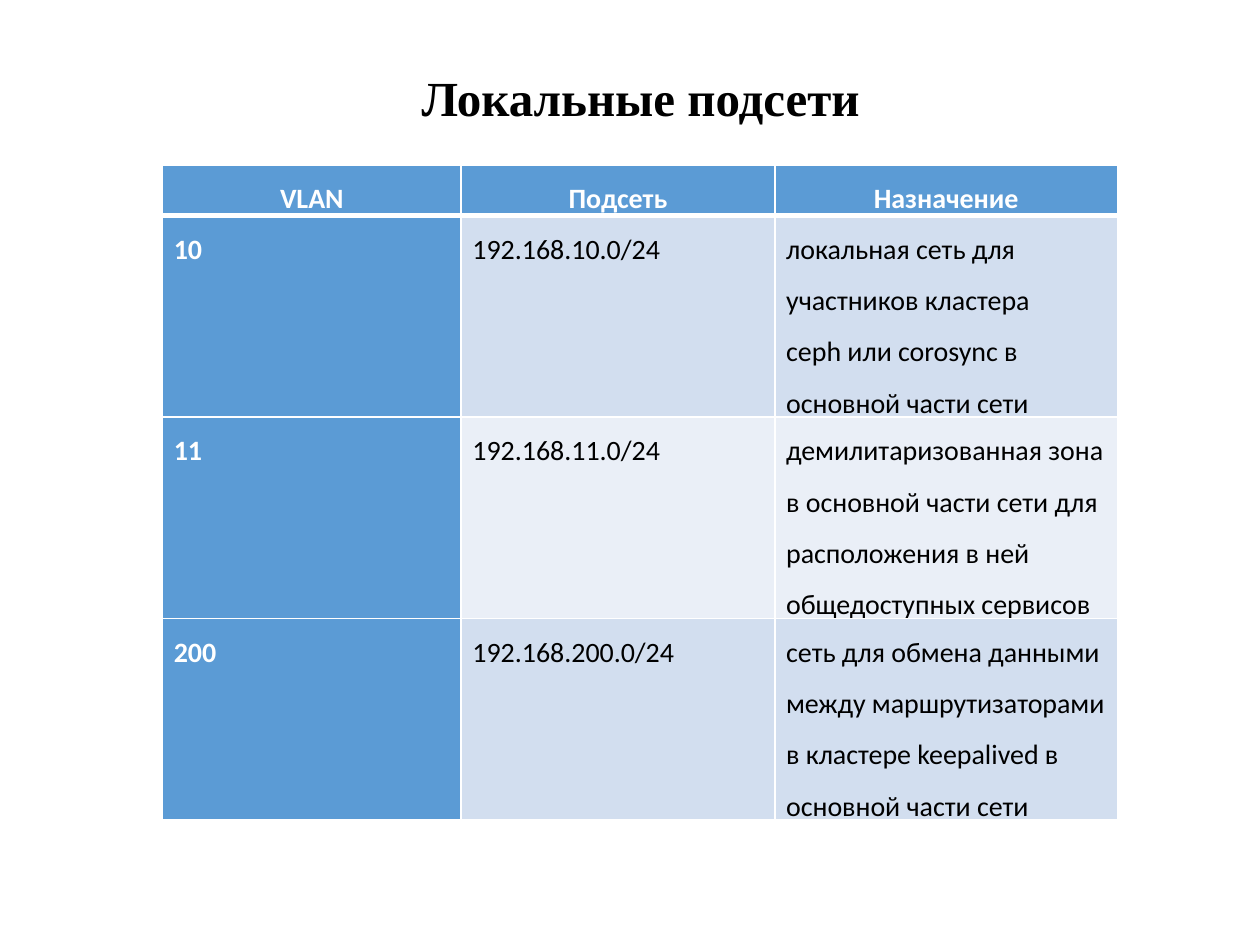
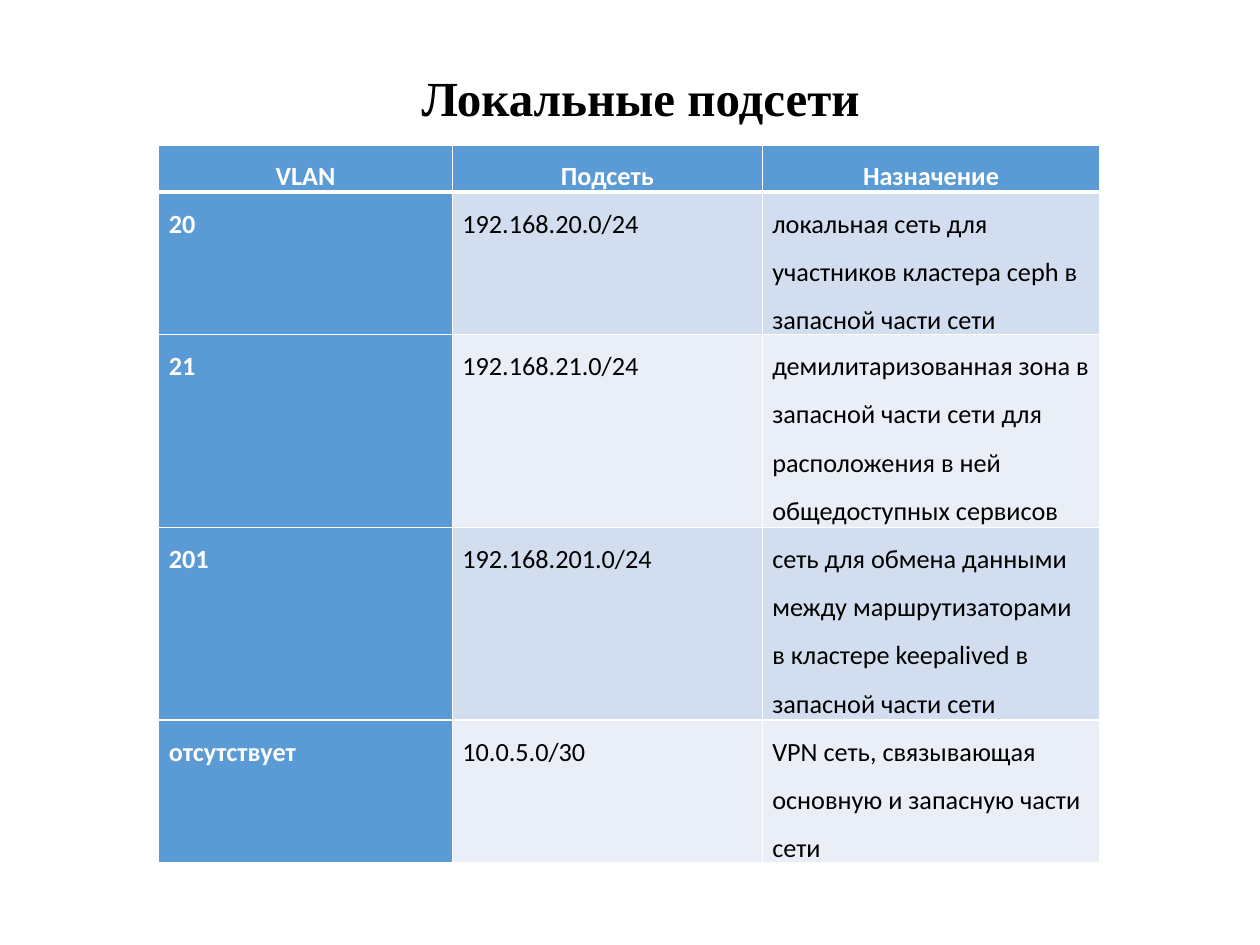
from pptx import Presentation
from pptx.dml.color import RGBColor
from pptx.enum.text import MSO_ANCHOR as Anchor, PP_ALIGN as Align
from pptx.oxml.ns import qn
from pptx.util import Inches, Pt
from lxml.etree import SubElement as Sub

BLUE, PALE, LIGHT = "5B9BD5", "D2DEEF", "EAEFF7"
WHITE, BLACK = "FFFFFF", "000000"
TITLE = "Локальные подсети"
HEADS = ("VLAN", "Подсеть", "Назначение")

MAIN = [
    ("10", "192.168.10.0/24",
     "локальная сеть для\nучастников кластера\nceph или corosync в основной части сети"),
    ("11", "192.168.11.0/24",
     "демилитаризованная зона в основной части сети для расположения в ней общедоступных сервисов"),
    ("200", "192.168.200.0/24",
     "сеть для обмена данными между маршрутизаторами в кластере keepalived в основной части сети"),
]
SPARE = [
    ("20", "192.168.20.0/24",
     "локальная сеть для участников кластера ceph в запасной части сети"),
    ("21", "192.168.21.0/24",
     "демилитаризованная зона в запасной части сети для расположения в ней общедоступных сервисов"),
    ("201", "192.168.201.0/24",
     "сеть для обмена данными между маршрутизаторами в кластере keepalived в запасной части сети"),
    ("отсутствует", "10.0.5.0/30",
     "VPN сеть, связывающая основную и запасную части сети"),
]


def color(code):
    return RGBColor.from_string(code)


class Deck:
    def __init__(self):
        self.prs = Presentation()
        self.prs.slide_width, self.prs.slide_height = Inches(10), Inches(7.5)
        self.slide = None

    def page(self):
        self.slide = self.prs.slides.add_slide(self.prs.slide_layouts[6])

    def text(self, frame, words, size, font, ink, bold, align, space):
        """Fill a text frame, one paragraph for each line."""
        frame.word_wrap = True
        for i, line in enumerate(words.split("\n")):
            para = frame.add_paragraph() if i else frame.paragraphs[0]
            para.alignment, para.line_spacing = align, space
            run = para.add_run()
            run.text = line
            run.font.size, run.font.name = Pt(size), font
            run.font.bold, run.font.color.rgb = bold, color(ink)

    def title(self, words):
        box = self.slide.shapes.add_textbox(
            Inches(0.91), Inches(0.29), Inches(8.35), Inches(1.02))
        box.text_frame.vertical_anchor = Anchor.MIDDLE
        self.text(box.text_frame, words, 28, "Times New Roman", BLACK,
                  True, Align.CENTER, 0.9)

    def edge(self, cell, side, width):
        line = Sub(cell._tc.get_or_add_tcPr(), qn(f"a:ln{side}"), w=str(Pt(width)))
        Sub(Sub(line, qn("a:solidFill")), qn("a:srgbClr"), val=WHITE)

    def cell(self, cell, words, row, col, size, pad):
        head = row == 0
        strong = head or col == 0
        cell.margin_left = cell.margin_right = Inches(pad)
        cell.margin_top = cell.margin_bottom = 0
        # A thick rule parts the header from the body
        for side in "LRTB":
            thick = (row, side) in ((0, "B"), (1, "T"))
            self.edge(cell, side, 3 if thick else 1)
        cell.fill.solid()
        band = PALE if row % 2 else LIGHT
        cell.fill.fore_color.rgb = color(BLUE if strong else band)
        align = Align.CENTER if head else Align.LEFT if col == 2 else Align.JUSTIFY
        self.text(cell.text_frame, words, size, "Calibri",
                  WHITE if strong else BLACK, strong, align, 1.5)

    def table(self, left, top, cols, highs, rows, size, pad):
        rows = [HEADS, *rows]
        grid = self.slide.shapes.add_table(
            len(rows), len(cols), Inches(left), Inches(top),
            Inches(sum(cols)), Inches(sum(highs))).table
        for col, wide in zip(grid.columns, cols):
            col.width = Inches(wide)
        for r, (high, texts) in enumerate(zip(highs, rows)):
            grid.rows[r].height = Inches(high)
            for c, words in enumerate(texts):
                self.cell(grid.cell(r, c), words, r, c, size, pad)


def main():
    deck = Deck()

    # Main part of the network
    deck.page()
    deck.title(TITLE)
    deck.table(1.29, 1.31, (2.37, 2.49, 2.72), (0.36, 1.55, 1.55, 1.55),
               MAIN, 16, 0.09)

    # Spare part of the network
    deck.page()
    deck.title(TITLE)
    deck.table(1.26, 1.15, (2.33, 2.46, 2.68), (0.35, 1.13, 1.53, 1.53, 1.13),
               SPARE, 15, 0.08)

    deck.prs.save("out.pptx")


if __name__ == "__main__":
    main()
